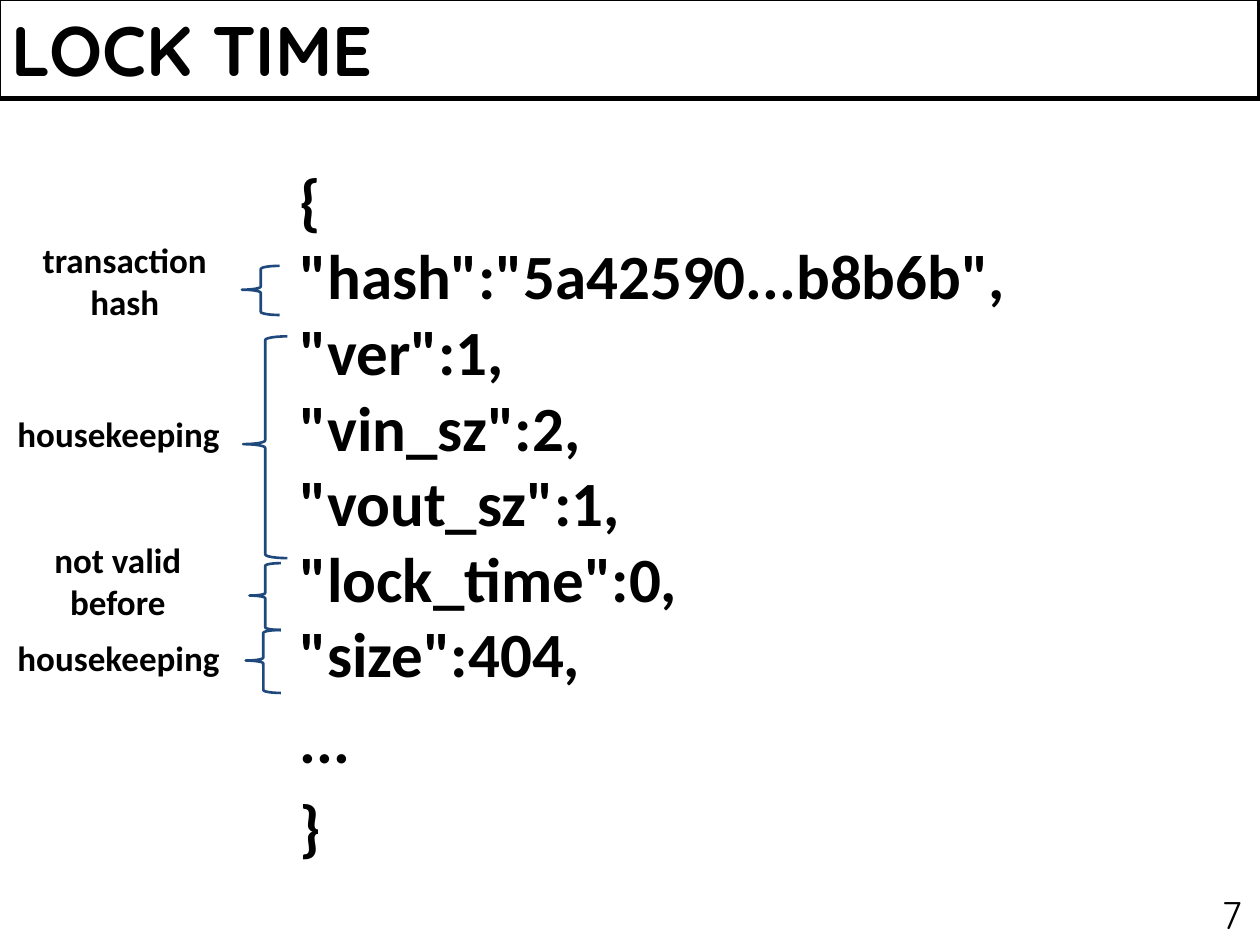
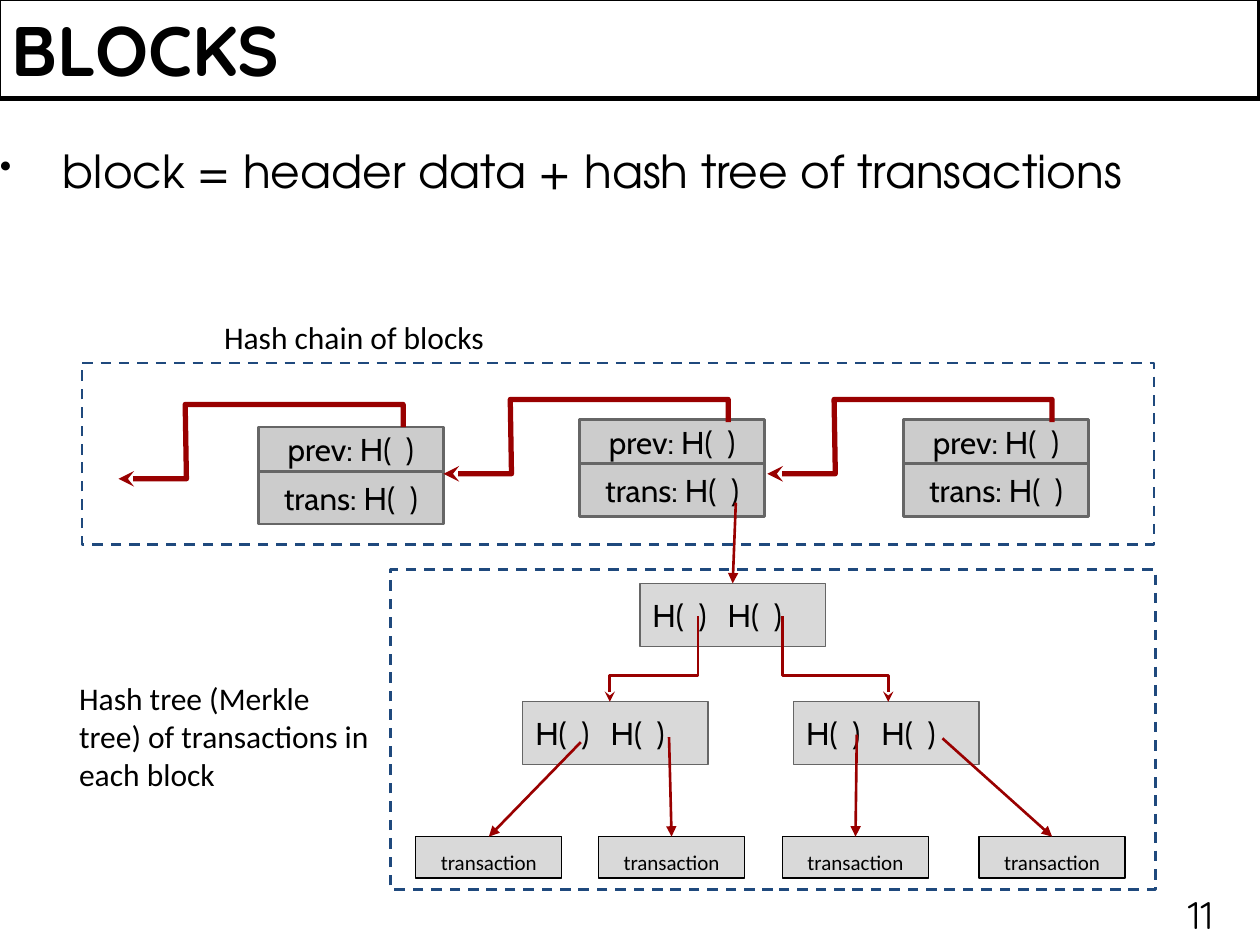
"""Build two slides on transaction lock time and block structure."""
from lxml import etree
from pptx import Presentation
from pptx.dml.color import RGBColor
from pptx.enum import dml, shapes, text as txt
from pptx.oxml.ns import qn
from pptx.util import Inches, Pt

COLORS = {"ink": "000000", "navy": "1F497D", "red": "990000",
          "block": "CCCCCC", "node": "D9D9D9", "edge": "666666"}
RECT = shapes.MSO_SHAPE.RECTANGLE
BRACE = shapes.MSO_SHAPE.LEFT_BRACE
CENTER = txt.PP_ALIGN.CENTER
MIDDLE = txt.MSO_ANCHOR.MIDDLE


def write(shape, words, size=18, font="Calibri", bold=False, align=txt.PP_ALIGN.LEFT,
          anchor=txt.MSO_ANCHOR.TOP, inset=(0.1, 0.1), before=0, spacing=None):
    frame = shape.text_frame
    frame.text = words
    frame.word_wrap = True
    frame.auto_size = txt.MSO_AUTO_SIZE.NONE
    frame.vertical_anchor = anchor
    frame.margin_left = frame.margin_right = Inches(inset[0])
    frame.margin_top = frame.margin_bottom = Inches(inset[1])
    for paragraph in frame.paragraphs:
        paragraph.alignment = align
        paragraph.space_before = Pt(before)
        paragraph.line_spacing = spacing
        for run in paragraph.runs:
            run.font.size, run.font.name, run.font.bold = Pt(size), font, bold
            run.font.color.rgb = RGBColor.from_string(COLORS["ink"])


def style(item, color, width, fill=None, dash=False, tail=None):
    item.line.color.rgb = RGBColor.from_string(COLORS[color])
    item.line.width = Pt(width)
    if dash:
        item.line.dash_style = dml.MSO_LINE.DASH
    if tail:
        etree.SubElement(item.line._get_or_add_ln(), qn("a:tailEnd"), type=tail)
    if fill:
        item.fill.solid()
        item.fill.fore_color.rgb = RGBColor.from_string(COLORS[fill])
    elif hasattr(item, "fill"):
        item.fill.background()
    etree.SubElement(item._element.spPr, qn("a:effectLst"))


deck = Presentation()
deck.slide_width, deck.slide_height = Inches(10), Inches(7.5)

pages = []
for heading, number, number_left in [("LOCK TIME", "7", 9.6), ("BLOCKS", "11", 9.33)]:
    slide = deck.slides.add_slide(deck.slide_layouts[5])
    title = slide.shapes.title
    title.left, title.top, title.width, title.height = map(Inches, (-0.01, -0.01, 10.01, 0.79))
    style(title, "ink", 3)
    write(title, heading, size=40, font="Quicksand", bold=True, anchor=MIDDLE, inset=(0.1, 0.05))
    page_number = slide.shapes.add_textbox(*map(Inches, (number_left, 7.02, 10 - number_left, 0.48)))
    write(page_number, number, size=22, font="Quicksand", inset=(0.1, 0.05))
    pages.append(slide.shapes)
lock_time, blocks = pages

code_lines = ["{", '"hash":"5a42590...b8b6b",', '"ver":1,', '"vin_sz":2,',
              '"vout_sz":1,', '"lock_time":0,', '"size":404,']
code = lock_time.add_textbox(*map(Inches, (2.28, 1.18, 7.72, 5.9)))
write(code, "\v".join(code_lines) + "\n...\n}", size=36, bold=True, before=6)

annotations = [
    ("transaction hash", (0, 1.79, 1.98, 0.88), CENTER, (1.92, 2.11, 0.3, 0.39)),
    ("housekeeping", (0.04, 3.17, 1.88, 0.46), None, (1.93, 2.67, 0.35, 1.76)),
    ("not valid before", (-0.06, 4.17, 1.99, 0.92), CENTER, (1.98, 4.47, 0.25, 0.53)),
    ("housekeeping", (0.04, 4.95, 1.88, 0.46), None, (1.95, 5, 0.28, 0.5)),
]
for words, label_box, align, brace_box in annotations:
    label = lock_time.add_textbox(*map(Inches, label_box))
    write(label, words, size=20, bold=True, align=align)
    brace = lock_time.add_shape(BRACE, *map(Inches, brace_box))
    brace.adjustments[0], brace.adjustments[1] = 0.083, 0.486
    style(brace, "navy", 1.5)

definition = blocks.add_textbox(*map(Inches, (0, 0.92, 10, 0.57)))
write(definition, "block = header data + hash tree of transactions", size=26,
      font="TeX Gyre Adventor", inset=(0, 0), spacing=1.5)
bullet = definition.text_frame.paragraphs[0]._p.get_or_add_pPr()
bullet.set("marL", str(Inches(0.5)))
bullet.set("indent", str(Inches(-0.5)))
etree.SubElement(bullet, qn("a:buSzPct"), val="75000")
etree.SubElement(bullet, qn("a:buChar"), char="•")

BLOCK_WIDTH, PREV_HEIGHT, TRANS_HEIGHT = 1.47, 0.35, 0.42
PREV_ROUTE = [(0, 0), (0, -0.18), (-1.73, -0.18), (-1.72, 0.41), (-2.26, 0.41)]
routes = []
for left, top, pointer_x in [(2.05, 3.39, 3.2), (4.6, 3.33, 5.78), (7.17, 3.33, 8.35)]:
    for words, y, height in [("trans: H(  )", top + PREV_HEIGHT, TRANS_HEIGHT),
                             ("prev: H(  )", top, PREV_HEIGHT)]:
        field = blocks.add_shape(RECT, *map(Inches, (left, y, BLOCK_WIDTH, height)))
        style(field, "edge", 1.5, fill="block")
        write(field, words, font="Cabin", align=CENTER, anchor=MIDDLE)
    routes.append(([(pointer_x + dx, top + 0.02 * (top < 3.35) + dy) for dx, dy in PREV_ROUTE], 3))

nodes = []
for left, top in [(5.08, 4.63), (4.15, 5.57), (6.3, 5.57)]:
    node = blocks.add_shape(RECT, *map(Inches, (left, top, BLOCK_WIDTH, 0.5)))
    style(node, "edge", 0.75, fill="node")
    write(node, "H(  )   H(  )", font="Cabin")
    nodes.append(node)

for start_x, end_x in [(5.54, 4.84), (6.21, 7.05)]:
    routes.append(([(start_x, 4.89), (start_x, 5.36), (end_x, 5.36), (end_x, 5.57)], 1.5))
for points, width in routes:
    corners = [(Inches(x), Inches(y)) for x, y in points]
    outline = blocks.build_freeform(*corners[0])
    outline.add_line_segments(corners[1:], close=False)
    style(outline.convert_to_shape(), "red", width, tail="stealth")

hash_links = [((5.84, 3.99), nodes[0])]
for left, hash_end in [(3.3, (4.61, 5.89)), (4.75, (5.31, 5.85)),
                       (6.21, (6.8, 5.83)), (7.77, (7.48, 5.86))]:
    transaction = blocks.add_shape(RECT, *map(Inches, (left, 6.64, 1.16, 0.33)))
    style(transaction, "ink", 0.75, fill="node")
    write(transaction, "transaction", size=12, align=CENTER)
    hash_links.append((hash_end, transaction))
for start, target in hash_links:
    link = blocks.add_connector(shapes.MSO_CONNECTOR.STRAIGHT, *map(Inches, start * 2))
    link.end_connect(target, 0)
    style(link, "red", 1.5, tail="triangle")

for region, caption_box, caption in [
    ((0.65, 2.88, 8.51, 1.44), (1.68, 2.42, 2.47, 0.38), "Hash chain of blocks"),
    ((3.1, 4.52, 6.07, 2.54), (0.53, 5.29, 2.57, 0.38),
     "Hash tree (Merkle tree) of transactions in each block"),
]:
    style(blocks.add_shape(RECT, *map(Inches, region)), "navy", 1.5, dash=True)
    write(blocks.add_textbox(*map(Inches, caption_box)), caption)

deck.save("out.pptx")
